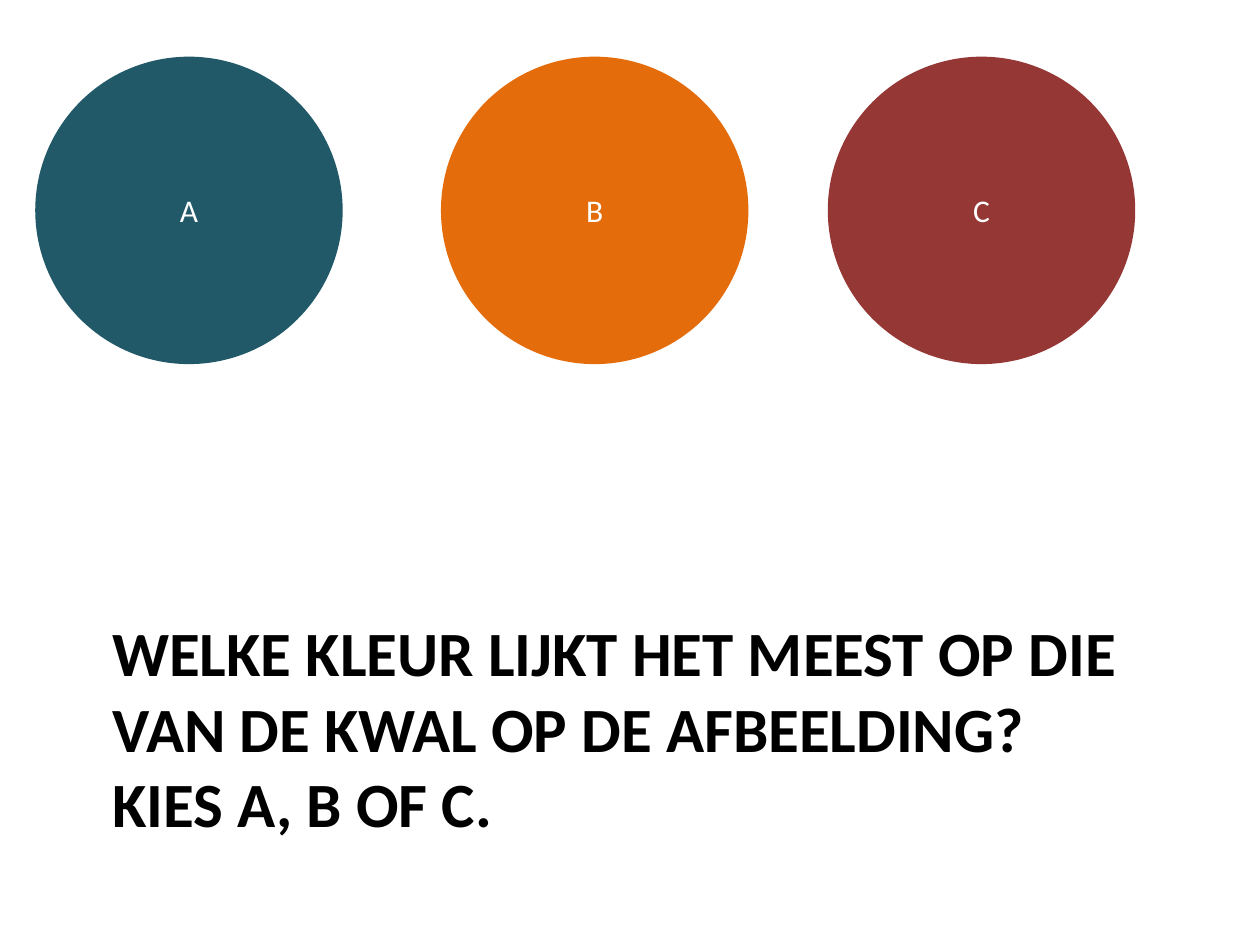
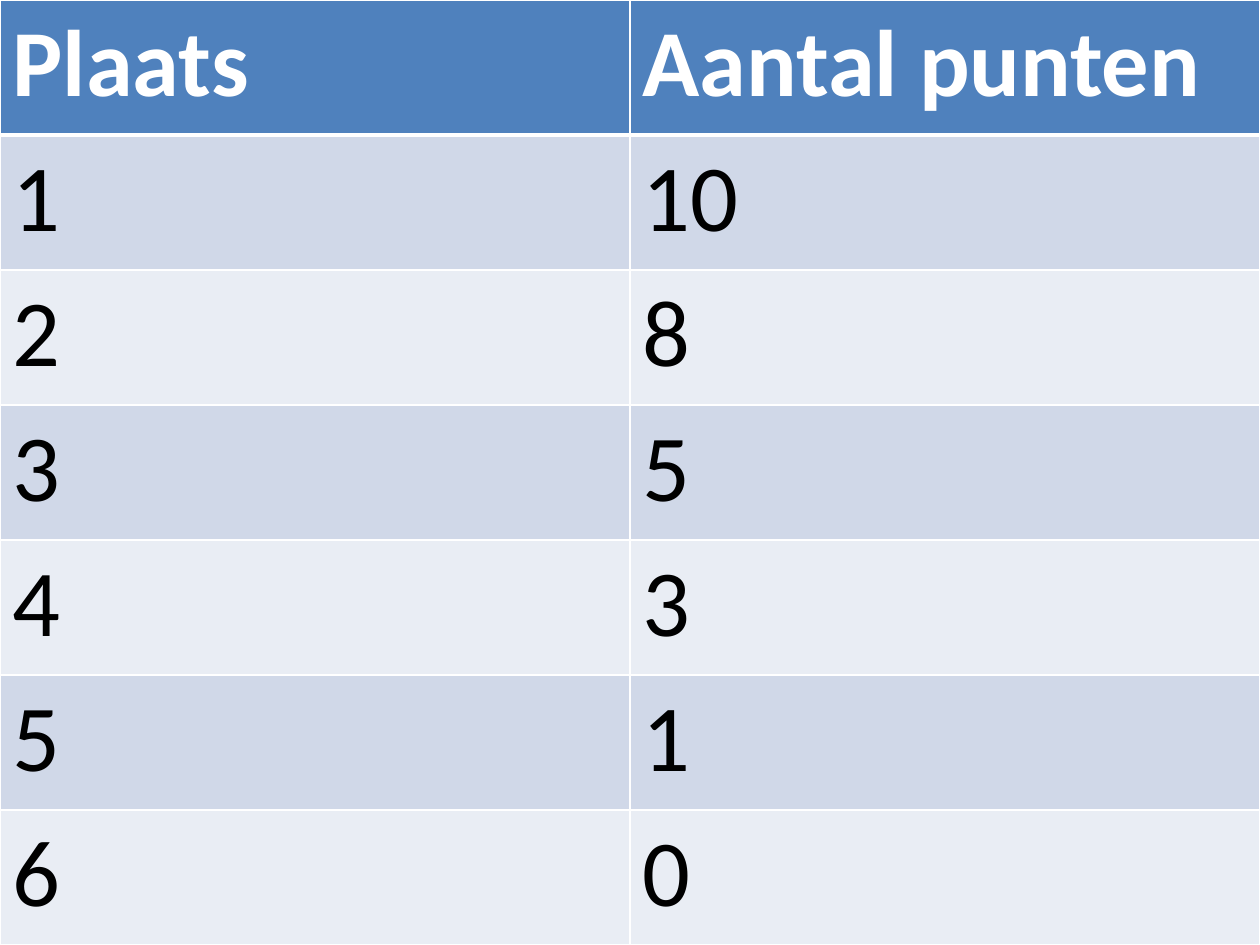
from lxml import etree
from pptx import Presentation, util as u
from pptx.dml.color import RGBColor
from pptx.enum import shapes, text
from pptx.oxml.ns import qn

COLOURS = {
    "white": "FFFFFF", "black": "000000", "teal": "215968", "orange": "E46C0A",
    "red": "953735", "header": "4F81BD", "odd_row": "D0D8E8", "even_row": "E9EDF4",
}
TITLE_BOX = (0.79, 4.82, 8.5, 1.49)


def rgb(name):
    return RGBColor.from_string(COLOURS[name])


def set_format(target, formats):
    for name, value in formats.items():
        setattr(target, name, value)


class Deck:
    FONT = "Calibri"

    def __init__(self, width, height):
        self.prs = Presentation()
        self.prs.slide_width, self.prs.slide_height = u.Inches(width), u.Inches(height)
        self.slide = None

    def add_slide(self, layout):
        self.slide = self.prs.slides.add_slide(self.prs.slide_layouts.get_by_name(layout))

    def fill_text(self, frame, content, size, colour, bold=False, align=text.PP_ALIGN.LEFT):
        frame.text = content
        for paragraph in frame.paragraphs:
            paragraph.alignment = align
            set_format(paragraph.font, {"name": self.FONT, "size": u.Pt(size), "bold": bold})
            paragraph.font.color.rgb = rgb(colour)

    def title(self, content, size):
        title = self.slide.shapes.title
        places = map(u.Inches, TITLE_BOX)
        set_format(title, dict(zip(("left", "top", "width", "height"), places)))
        set_format(title.text_frame, {
            "word_wrap": True,
            "auto_size": text.MSO_AUTO_SIZE.NONE,
            "vertical_anchor": text.MSO_ANCHOR.TOP,
        })
        self.fill_text(title.text_frame, content, size, "black", bold=True)

    def circle(self, label, left, top, diameter, colour):
        circle = self.slide.shapes.add_shape(
            shapes.MSO_SHAPE.OVAL, *map(u.Inches, (left, top, diameter, diameter)))
        circle.shadow.inherit = False
        circle.fill.solid()
        circle.fill.fore_color.rgb = rgb(colour)
        circle.line.fill.background()
        circle.text_frame.vertical_anchor = text.MSO_ANCHOR.MIDDLE
        self.fill_text(circle.text_frame, label, 18, "white", align=text.PP_ALIGN.CENTER)

    def cell_borders(self, cell, widths):
        """Draw white borders; widths in points are keyed by side L, R, T, B."""
        properties = cell._tc.get_or_add_tcPr()
        for side, width in widths.items():
            line = etree.SubElement(properties, qn(f"a:ln{side}"), w=str(u.Pt(width)))
            fill = etree.SubElement(line, qn("a:solidFill"))
            etree.SubElement(fill, qn("a:srgbClr"), val=COLOURS["white"])

    def full_slide_table(self, rows, size):
        table = self.slide.shapes.add_table(
            len(rows), len(rows[0]), 0, 0, self.prs.slide_width, self.prs.slide_height).table
        for row, values in enumerate(rows):
            is_header = row == 0
            band = "header" if is_header else "odd_row" if row % 2 else "even_row"
            borders = {"L": 1, "R": 1, "T": 3 if row == 1 else 1, "B": 3 if is_header else 1}
            for column, value in enumerate(values):
                cell = table.cell(row, column)
                self.cell_borders(cell, borders)
                cell.fill.solid()
                cell.fill.fore_color.rgb = rgb(band)
                self.fill_text(cell.text_frame, str(value), size,
                               "white" if is_header else "black", bold=is_header)


def question_slide(deck):
    deck.add_slide("Title Only")
    deck.title("WELKE KLEUR LIJKT HET MEEST OP DIE VAN DE KWAL OP DE AFBEELDING?\v"
               "KIES A, B OF C.", 36)
    for answer, left, colour in (("A", 0.28, "teal"), ("B", 3.5, "orange"), ("C", 6.57, "red")):
        deck.circle(answer, left, 0.45, 2.44, colour)


def score_slide(deck):
    deck.add_slide("Blank")
    points = (10, 8, 5, 3, 1, 0)
    deck.full_slide_table([("Plaats", "Aantal punten"), *enumerate(points, start=1)], 54)


def main():
    deck = Deck(10, 7.5)
    question_slide(deck)
    score_slide(deck)
    deck.prs.save("out.pptx")


if __name__ == "__main__":
    main()
